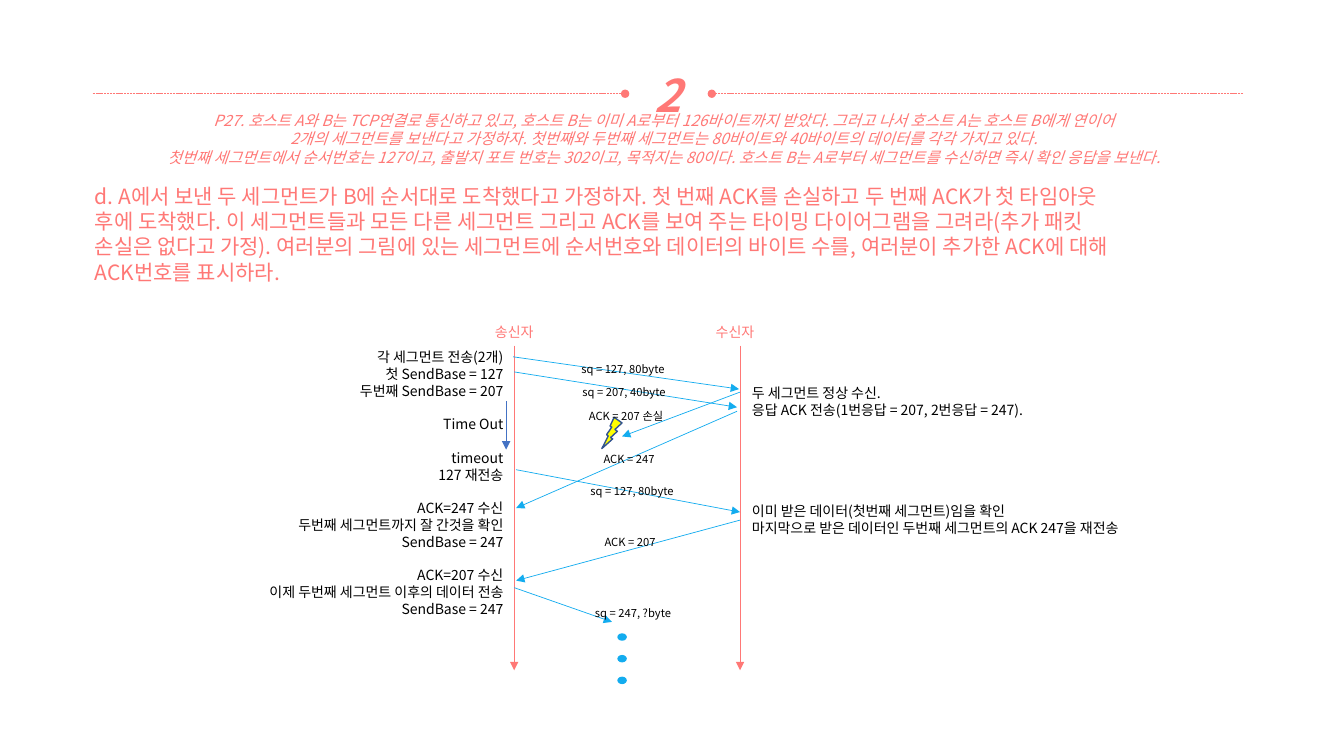
from collections import namedtuple

from pptx import Presentation
from pptx import util as u
from pptx.dml.color import RGBColor
from pptx.enum import dml, shapes, text
from pptx.oxml import ns, xmlchemy

Box = namedtuple("Box", "left top width height")

FONT = "Noto Sans CJK KR"
CORAL = RGBColor(0xFF, 0x78, 0x76)
SKY = RGBColor(0x13, 0xAC, 0xEF)
BLUE = RGBColor(0x44, 0x72, 0xC4)
NAVY = RGBColor(0x32, 0x54, 0x91)
YELLOW = RGBColor(0xFF, 0xFF, 0x00)
BLACK = RGBColor(0, 0, 0)
LEFT, CENTER, RIGHT = text.PP_ALIGN.LEFT, text.PP_ALIGN.CENTER, text.PP_ALIGN.RIGHT

INTRO = [
    "P27. 호스트 A와 B는 TCP연결로 통신하고 있고, 호스트 B는 이미 A로부터 126바이트까지 받았다. "
    "그러고 나서 호스트 A는 호스트 B에게 연이어",
    "2개의 세그먼트를 보낸다고 가정하자. 첫번째와 두번째 세그먼트는 80바이트와 40바이트의 데이터를 각각 가지고 있다.",
    "첫번째 세그먼트에서 순서번호는 127이고, 출발지 포트 번호는 302이고, 목적지는 80이다. "
    "호스트 B는 A로부터 세그먼트를 수신하면 즉시 확인 응답을 보낸다.",
]
QUESTION = (
    "d. A에서 보낸 두 세그먼트가 B에 순서대로 도착했다고 가정하자. 첫 번째 ACK를 손실하고 두 번째 ACK가 첫 "
    "타임아웃 후에 도착했다. 이 세그먼트들과 모든 다른 세그먼트 그리고 ACK를 보여 주는 타이밍 다이어그램을 그려라"
    "(추가 패킷 손실은 없다고 가정). 여러분의 그림에 있는 세그먼트에 순서번호와 데이터의 바이트 수를, "
    "여러분이 추가한 ACK에 대해 ACK번호를 표시하라."
)
SENDER_STEPS = [
    ["각 세그먼트 전송(2개)", "첫 SendBase = 127", "두번째 SendBase = 207"],
    ["Time Out"],
    ["timeout", "127 재전송"],
    ["ACK=247 수신", "두번째 세그먼트까지 잘 간것을 확인", "SendBase = 247"],
    ["ACK=207 수신", "이제 두번째 세그먼트 이후의 데이터 전송", "SendBase = 247"],
]
RECEIVER_STEPS = [
    ["두 세그먼트 정상 수신.", "응답 ACK 전송(1번응답 = 207, 2번응답 = 247)."],
    ["이미 받은 데이터(첫번째 세그먼트)임을 확인",
     "마지막으로 받은 데이터인 두번째 세그먼트의 ACK 247을 재전송"],
]
MESSAGES = [
    (-0.01, 0.11, 2.23, 0.43),
    (0, 0.26, 2.21, 0.61),
    (2.24, 0.46, 1.07, 0.9),
    (2.21, 0.65, 0.02, 1.61),
    (0.02, 1.23, 2.24, 1.65),
    (2.24, 1.73, 0.02, 2.33),
    (0, 2.4, 0.97, 2.74),
]
MESSAGE_LABELS = [
    ("sq = 127, 80byte", 1.08, 0.12),
    ("sq = 207, 40byte", 1.09, 0.34),
    ("ACK = 207 손실", 1.11, 0.58),
    ("ACK = 247", 1.14, 1.01),
    ("sq = 127, 80byte", 1.17, 1.33),
    ("ACK = 207", 1.15, 1.83),
    ("sq = 247, ?byte", 1.18, 2.54),
]


def place(shape, box):
    """Move a shape to a box given in inches."""
    shape.left, shape.top, shape.width, shape.height = map(u.Inches, box)


def write(shape, groups, size, color, align=LEFT, gap=0, spacing=1.2, bold=False, italic=False):
    """Write groups of lines, separated by a gap in points."""
    frame = shape.text_frame
    frame.word_wrap = True
    frame.auto_size = text.MSO_AUTO_SIZE.NONE
    frame.vertical_anchor = text.MSO_ANCHOR.TOP
    frame.margin_left = frame.margin_right = u.Inches(0.1)
    frame.margin_top = frame.margin_bottom = u.Inches(0.05)
    lines = [(line, gap if group_index and not line_index else 0)
             for group_index, group in enumerate(groups)
             for line_index, line in enumerate(group)]
    for index, (line, before) in enumerate(lines):
        paragraph = frame.add_paragraph() if index else frame.paragraphs[0]
        paragraph.alignment = align
        paragraph.line_spacing = u.Pt(size * spacing)
        paragraph.space_before = u.Pt(before)
        paragraph.space_after = u.Pt(0)
        run = paragraph.add_run()
        run.text = line
        font = run.font
        font.name, font.size, font.bold, font.italic = FONT, u.Pt(size), bold, italic
        font.color.rgb = color
        east_asian = xmlchemy.OxmlElement("a:ea")
        east_asian.set("typeface", FONT)
        font._element.find(ns.qn("a:latin")).addnext(east_asian)


def add_text(slide, box, groups, size, color, **options):
    """Add a text box."""
    write(slide.shapes.add_textbox(*map(u.Inches, box)), groups, size, color, **options)


def add_line(slide, ends, color, tail="triangle", dash=None):
    """Add a thin straight line with an end mark."""
    connector = slide.shapes.add_connector(shapes.MSO_CONNECTOR.STRAIGHT, *map(u.Inches, ends))
    connector.line.color.rgb = color
    connector.line.width = u.Pt(0.5)
    if dash:
        connector.line.dash_style = dash
    mark = xmlchemy.OxmlElement("a:tailEnd")
    mark.set("type", tail)
    connector.line._get_or_add_ln().append(mark)
    connector._element.spPr.append(xmlchemy.OxmlElement("a:effectLst"))


def add_mark(slide, preset, box, fill, outline):
    """Add a small filled shape."""
    shape = slide.shapes.add_shape(preset, *map(u.Inches, box))
    shape.shadow.inherit = False
    shape.fill.solid()
    shape.fill.fore_color.rgb = fill
    shape.line.color.rgb = outline
    shape.line.width = u.Pt(1)
    return shape


def build_header(slide, box):
    """Place the number between two dotted rules and the intro below."""
    title = slide.shapes.title
    place(title, Box(box.left + 3.2, box.top, 5.16, 0.8))
    write(title, [["2"]], 32, CORAL, align=CENTER, spacing=1.8, bold=True, italic=True)
    rule_y = box.top + 0.57
    for start, end in ((0.08, 5.36), (box.width, 6.22)):
        add_line(slide, (box.left + start, rule_y, box.left + end, rule_y), CORAL,
                 "oval", dml.MSO_LINE.SQUARE_DOT)
    add_text(slide, Box(box.left, box.top + 0.69, box.width, 0.66), [INTRO], 11, CORAL,
             align=CENTER, italic=True)


def build_question(slide, box):
    """Place the question in the body placeholder."""
    body = slide.placeholders[1]
    place(body, box)
    write(body, [[QUESTION]], 15, CORAL)
    properties = body.text_frame.paragraphs[0]._p.get_or_add_pPr()
    properties.set("marL", "0")
    properties.set("indent", "0")
    properties.append(xmlchemy.OxmlElement("a:buNone"))


def build_notes(slide, box):
    """Place the steps of each host outside its lifeline."""
    add_text(slide, Box(box.left - 2.81, box.top - 0.02, 2.8, 2.79), SENDER_STEPS, 10, BLACK,
             align=RIGHT, gap=12)
    add_text(slide, Box(box.left + box.width + 0.02, box.top + 0.34, 4.38, 1.62),
             RECEIVER_STEPS, 10, BLACK, gap=60)


def build_timing(slide, box):
    """Place the lifelines, messages, loss mark and continuation dots."""
    left, top, width, height = box
    for name, line_x, name_x in (("송신자", 0, 0), ("수신자", width, width - 0.05)):
        add_line(slide, (left + line_x, top, left + line_x, top + height), CORAL)
        add_text(slide, Box(left + name_x - 0.5, top - 0.27, 1, 0.27), [[name]], 10, CORAL,
                 align=CENTER)
    for x1, y1, x2, y2 in MESSAGES:
        add_line(slide, (left + x1, top + y1, left + x2, top + y2), SKY)
    add_line(slide, (left - 0.08, top + 0.55, left - 0.08, top + 1.03), BLUE)
    bolt = add_mark(slide, shapes.MSO_SHAPE.LIGHTNING_BOLT,
                    Box(left + 0.87, top + 0.71, 0.2, 0.31), YELLOW, NAVY)
    bolt._element.spPr.xfrm.set("flipH", "1")
    for label, center, y in MESSAGE_LABELS:
        add_text(slide, Box(left + center - 0.6, top + y, 1.2, 0.24), [[label]], 8, BLACK,
                 align=CENTER)
    for index in range(3):
        add_mark(slide, shapes.MSO_SHAPE.OVAL,
                 Box(left + 1.03, top + 2.86 + 0.215 * index, 0.08, 0.06), SKY, SKY)


def main():
    """Build and save the slide."""
    presentation = Presentation()
    presentation.slide_width = u.Inches(13.33)
    presentation.slide_height = u.Inches(7.5)
    slide = presentation.slides.add_slide(presentation.slide_layouts[1])
    build_header(slide, Box(0.84, 0.36, 11.49, 1.35))
    build_question(slide, Box(0.84, 1.77, 10.43, 1.11))
    lifelines = Box(5.1, 3.43, 2.24, 3.22)
    build_notes(slide, lifelines)
    build_timing(slide, lifelines)
    presentation.save("out.pptx")


if __name__ == "__main__":
    main()
